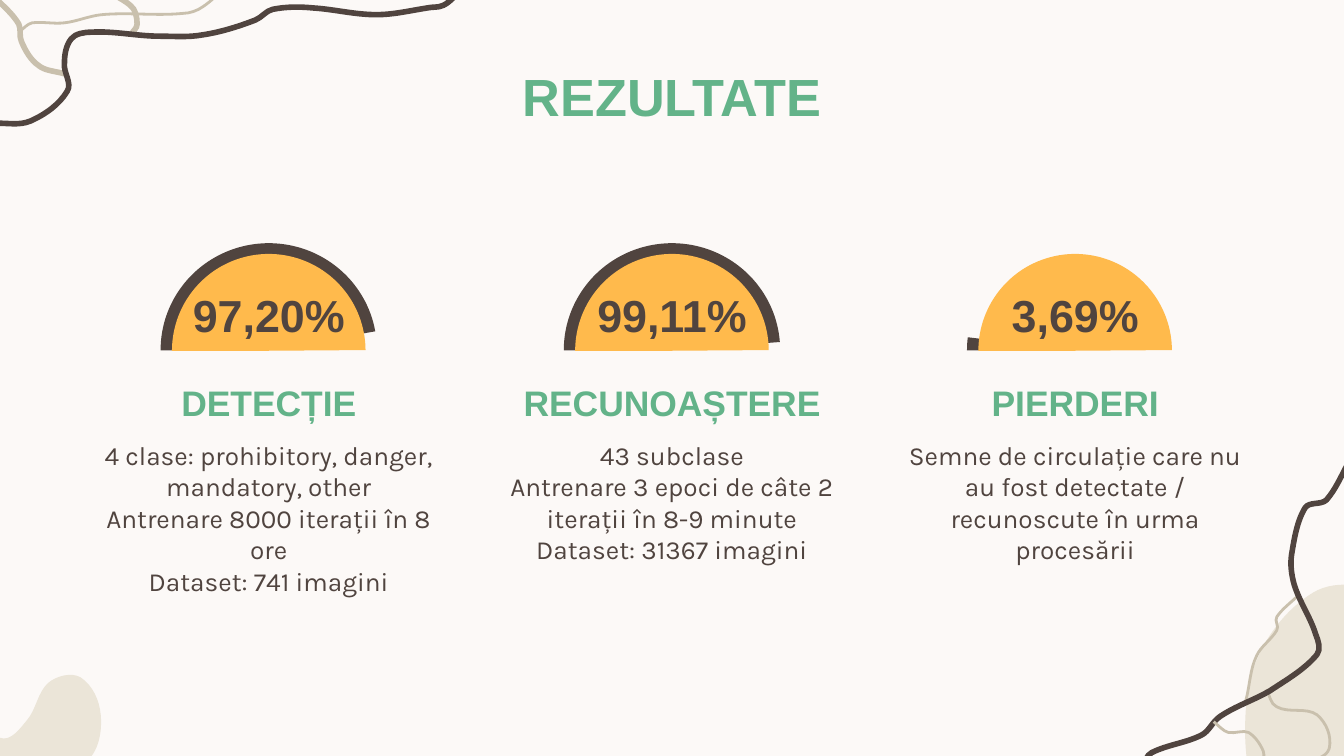
from dataclasses import dataclass
from math import dist
from typing import Optional

from lxml import etree
from pptx import Presentation
from pptx.dml.color import RGBColor
from pptx.enum.shapes import MSO_SHAPE
from pptx.enum.text import MSO_ANCHOR, PP_ALIGN
from pptx.oxml.ns import qn
from pptx.util import Inches, Pt

PIE = MSO_SHAPE.PIE
CENTER = PP_ALIGN.CENTER
TOP, MIDDLE, BOTTOM = MSO_ANCHOR.TOP, MSO_ANCHOR.MIDDLE, MSO_ANCHOR.BOTTOM

WIDTH = 10
HEIGHT = WIDTH * 9 / 16
COLUMN_PITCH = 3
FIRST_CENTER = WIDTH / 2 - COLUMN_PITCH

PAPER, SAND, TAUPE = "FCF9F7", "EBE5D8", "C9C0AD"
BROWN, GREEN, AMBER = "50443F", "63B389", "FFBA4C"
START_ANGLE, FLAT_ANGLE = 179.85, 359.62
THIN, THICK = 1.5, 3


@dataclass
class Curve:
    """A smooth curve through "x,y" points, in 1/100 inch."""
    color: str
    points: str
    weight: Optional[float] = None  # None makes a closed, filled blob


@dataclass
class Result:
    value: str
    heading: str
    details: tuple
    ring_end: float  # degrees


CURVES = [
    # Bottom right corner
    Curve(SAND, "1038,450 977,441 928,517 955,620 1083,630 1073,541"),
    Curve(TAUPE, "942,513 950,526 980,532 989,557 971,569", THIN),
    Curve(TAUPE, "966,443 950,459 950,469 935,488 927,521", THIN),
    Curve(BROWN, "1003,345 987,372 971,378 961,413 963,435 979,472 980,487 "
                 "945,514 908,533 894,547 857,560 850,570", THICK),
    Curve(TAUPE, "903,537 914,545 929,545 940,559 940,569", THIN),
    # Top left corner
    Curve(TAUPE, "98,25 102,18 97,4 73,-10", THICK),
    Curve(TAUPE, "48,55 29,49 16,31 14,18 -3,-1", THICK),
    Curve(BROWN, "-5,92 23,90 50,68 48,47 53,29 68,24 119,27 151,26 190,15 "
                 "203,7 233,6 280,11 318,6 330,4 345,-9", THICK),
    Curve(TAUPE, "15,23 24,17 48,17 75,11 136,10 151,5 167,-9", THIN),
    # Bottom left corner
    Curve(SAND, "-60,489 -90,550 -5,609 66,565 75,532 60,504 36,508 20,536 "
                "0,549 -21,522"),
]

RESULTS = [
    Result("97,20%", "DETECȚIE",
           ("4 clase: prohibitory, danger, mandatory, other",
            "Antrenare 8000 iterații în 8 ore", "Dataset: 741 imagini"), 350.03),
    Result("99,11%", "RECUNOAȘTERE",
           ("43 subclase", "Antrenare 3 epoci de câte 2 iterații în 8-9 minute",
            "Dataset: 31367 imagini"), 355.75),
    Result("3,69%", "PIERDERI",
           ("Semne de circulație care nu au fost detectate / "
            "recunoscute în urma procesării",), 186.79),
]


def rgb(color: str) -> RGBColor:
    return RGBColor.from_string(color)


def smooth_points(anchors: list, closed: bool) -> list:
    """Give two handles and an end point for each stretch between anchors."""
    if closed:
        padded = [anchors[-1], *anchors, *anchors[:2]]
    else:
        padded = [anchors[0], *anchors, anchors[-1]]
    points = []
    for before, start, end, after in zip(padded, padded[1:], padded[2:], padded[3:]):
        reach = dist(start, end) / 3
        leave, arrive = reach / dist(before, end), reach / dist(start, after)
        points.append(tuple(s + (e - b) * leave
                            for b, s, e in zip(before, start, end)))
        points.append(tuple(e - (a - s) * arrive
                            for s, e, a in zip(start, end, after)))
        points.append(end)
    return points


def draw_curve(page, curve: Curve) -> None:
    closed = curve.weight is None
    anchors = [tuple(int(number) for number in pair.split(","))
               for pair in curve.points.split()]
    builder = page.shapes.build_freeform(*anchors[0], scale=Inches(0.01))
    builder.add_line_segments(smooth_points(anchors, closed), close=closed)
    shape = builder.convert_to_shape()
    shape.shadow.inherit = False
    # Every three segments become one cubic curve
    segments = list(shape._element.iter(qn("a:lnTo")))
    for first in range(0, len(segments), 3):
        cubic = etree.Element(qn("a:cubicBezTo"))
        segments[first].addprevious(cubic)
        for segment in segments[first:first + 3]:
            cubic.append(segment[0])
            segment.getparent().remove(segment)
    if closed:
        shape.fill.solid()
        shape.fill.fore_color.rgb = rgb(curve.color)
        shape.line.fill.background()
    else:
        shape.fill.background()
        shape.line.color.rgb = rgb(curve.color)
        shape.line.width = Pt(curve.weight)


def draw_pie(page, center: float, top: float, width: float, height: float,
             end_angle: float, color: str) -> None:
    pie = page.shapes.add_shape(PIE, Inches(center - width / 2), Inches(top),
                                Inches(width), Inches(height))
    for index, angle in enumerate((START_ANGLE, end_angle)):
        pie.adjustments[index] = angle * 0.6  # 60000 units a degree, per 100000
    pie.shadow.inherit = False
    pie.fill.solid()
    pie.fill.fore_color.rgb = rgb(color)
    pie.line.fill.background()


def write_text(page, lines: tuple, *, center: float, top: float, width: float,
               height: float, size: float, color: str, font: str = "Arial",
               bold: bool = True, anchor=MIDDLE) -> None:
    box = page.shapes.add_textbox(Inches(center - width / 2), Inches(top),
                                  Inches(width), Inches(height))
    frame = box.text_frame
    frame.word_wrap = True
    frame.vertical_anchor = anchor
    frame.margin_left = frame.margin_right = Inches(0.1)
    frame.margin_top = frame.margin_bottom = Inches(0.1)
    for index, line in enumerate(lines):
        para = frame.add_paragraph() if index else frame.paragraphs[0]
        para.alignment = CENTER
        span = para.add_run()
        span.text = line
        span.font.name = font
        span.font.size = Pt(size)
        span.font.bold = bold
        span.font.color.rgb = rgb(color)


def draw_result(page, result: Result, center: float) -> None:
    draw_pie(page, center, 1.81, 1.61, 1.59, result.ring_end, BROWN)
    draw_pie(page, center, 1.89, 1.44, 1.44, FLAT_ANGLE, AMBER)
    write_text(page, (result.value,), center=center, top=2.05, width=1.35,
               height=0.58, size=24, color=BROWN)
    write_text(page, (result.heading,), center=center, top=2.67, width=2.42,
               height=0.58, size=19, color=GREEN, anchor=BOTTOM)
    write_text(page, result.details, center=center, top=3.17, width=2.87,
               height=1.1, size=14, color=BROWN, font="Karla", bold=False,
               anchor=TOP)


def main() -> None:
    deck = Presentation()
    deck.slide_width, deck.slide_height = Inches(WIDTH), Inches(HEIGHT)
    page = deck.slides.add_slide(deck.slide_layouts[6])
    page.background.fill.solid()
    page.background.fill.fore_color.rgb = rgb(PAPER)
    for curve in CURVES:
        draw_curve(page, curve)
    write_text(page, ("REZULTATE",), center=WIDTH / 2, top=0.4, width=8.34,
               height=0.63, size=28, color=GREEN)
    for column, result in enumerate(RESULTS):
        draw_result(page, result, FIRST_CENTER + column * COLUMN_PITCH)
    deck.save("out.pptx")


if __name__ == "__main__":
    main()
